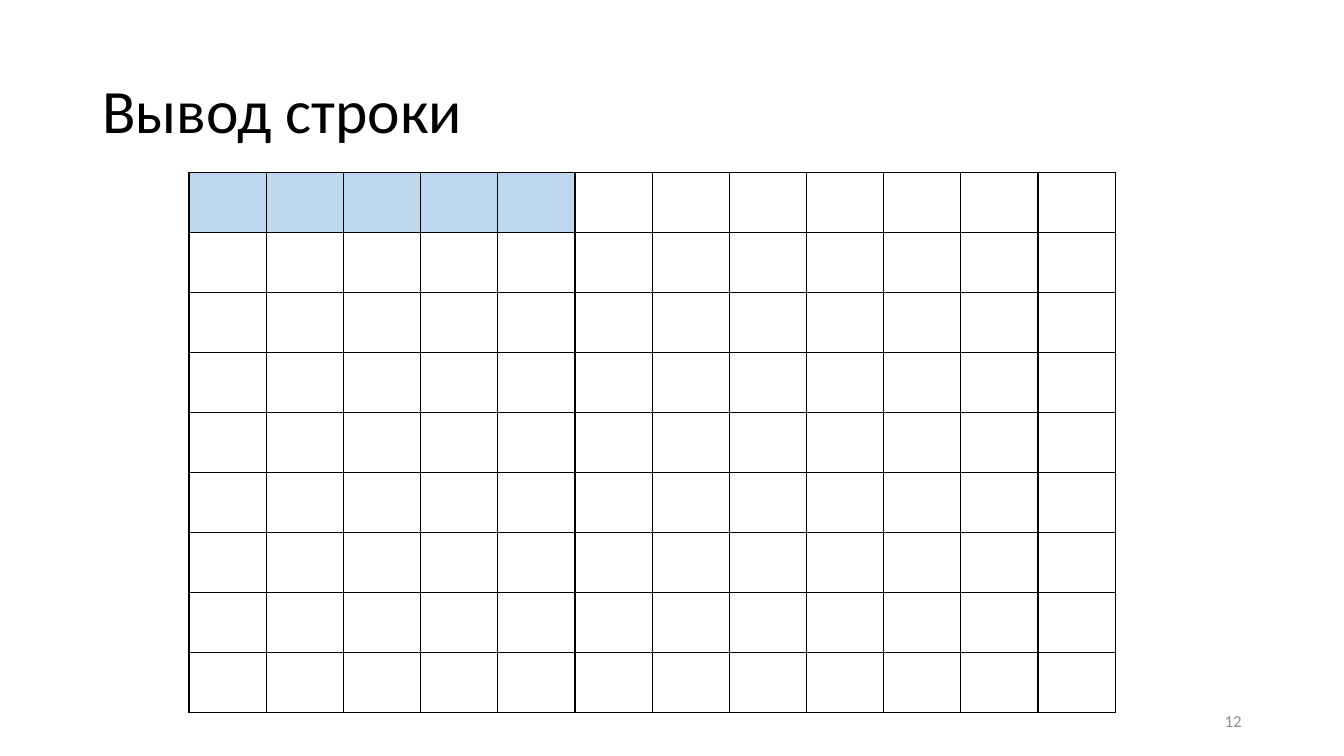
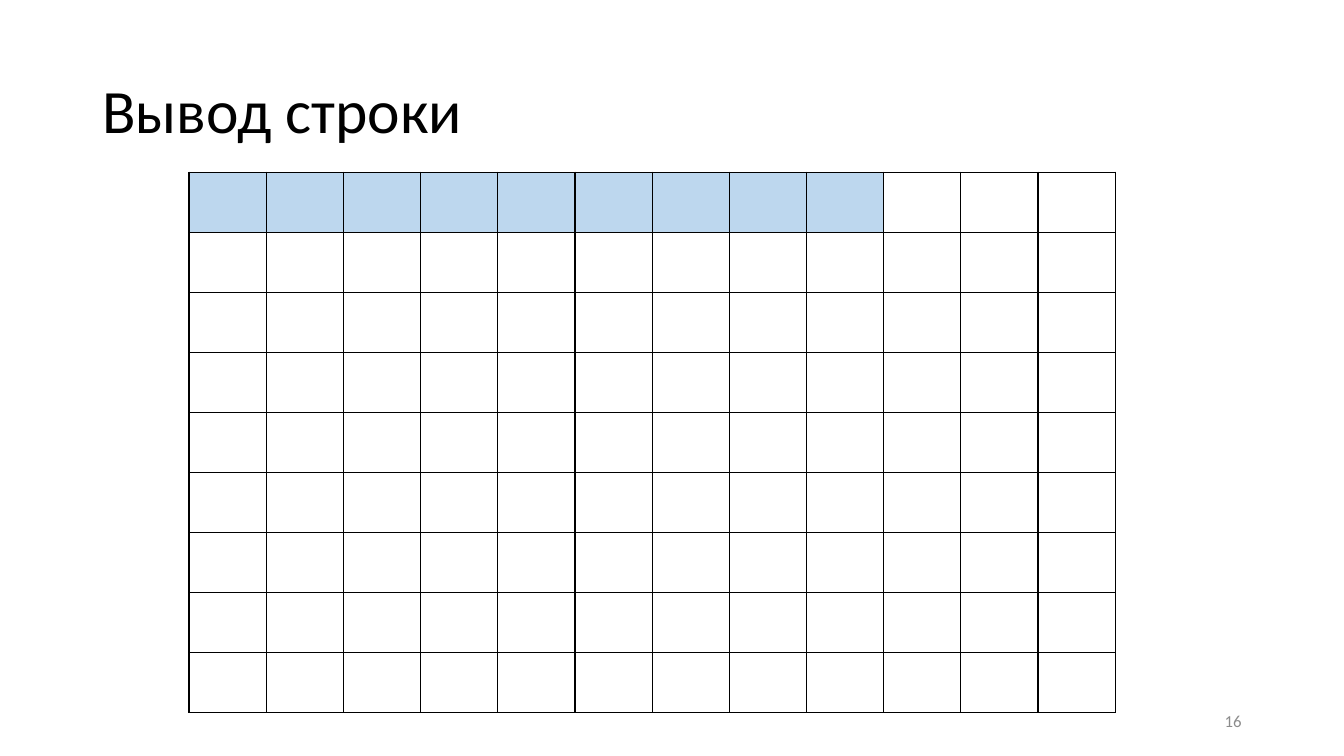
from lxml.etree import SubElement
from pptx import Presentation
from pptx.dml.color import RGBColor
from pptx.enum.text import MSO_ANCHOR, PP_ALIGN
from pptx.oxml.ns import qn
from pptx.util import Pt

SLIDES = [
    {"title": "Вывод строки", "filled": 5, "number": "12"},
    {"title": "Вывод строки", "filled": 9, "number": "16"},
]
COLORS = {"text": "000000", "border": "000000", "filled": "BDD7EE", "number": "8C8C8C"}
FONT = "Calibri"
ROWS, COLUMNS = 9, 12
CELL_WIDTH, CELL_HEIGHT = 55.14, 42.86
GRID_LEFT, GRID_TOP = 135, 123


def write(shape, text, size, color, alignment):
    frame = shape.text_frame
    frame.word_wrap = True
    frame.vertical_anchor = MSO_ANCHOR.MIDDLE
    paragraph = frame.paragraphs[0]
    paragraph.text = text
    paragraph.alignment = alignment
    paragraph.font.name = FONT
    paragraph.font.size = Pt(size)
    paragraph.font.color.rgb = RGBColor.from_string(COLORS[color])
    return paragraph


def add_title(slide, text):
    title = slide.shapes.title
    title.left, title.top, title.width, title.height = Pt(66), Pt(28.75), Pt(828), Pt(104.4)
    write(title, text, 44, "text", PP_ALIGN.LEFT).line_spacing = 0.9


def add_borders(cell):
    properties = cell._tc.get_or_add_tcPr()
    for side in ("a:lnL", "a:lnR", "a:lnT", "a:lnB"):
        line = SubElement(properties, qn(side), w=str(Pt(1)))
        fill = SubElement(line, qn("a:solidFill"))
        SubElement(fill, qn("a:srgbClr"), val=COLORS["border"])


def add_grid(slide, filled):
    table = slide.shapes.add_table(
        ROWS, COLUMNS, Pt(GRID_LEFT), Pt(GRID_TOP),
        Pt(COLUMNS * CELL_WIDTH), Pt(ROWS * CELL_HEIGHT),
    ).table
    table.first_row = table.horz_banding = False
    for column in table.columns:
        column.width = Pt(CELL_WIDTH)
    for row in table.rows:
        row.height = Pt(CELL_HEIGHT)
    for index, cell in enumerate(table.iter_cells()):
        add_borders(cell)
        if index < filled:
            cell.fill.solid()
            cell.fill.fore_color.rgb = RGBColor.from_string(COLORS["filled"])
        else:
            cell.fill.background()


def add_number(slide, number):
    box = slide.shapes.add_textbox(Pt(678), Pt(500.5), Pt(216), Pt(28.75))
    write(box, number, 12, "number", PP_ALIGN.RIGHT)


def main():
    presentation = Presentation()
    presentation.slide_width, presentation.slide_height = Pt(960), Pt(540)
    for content in SLIDES:
        slide = presentation.slides.add_slide(presentation.slide_layouts[5])
        add_title(slide, content["title"])
        add_grid(slide, content["filled"])
        add_number(slide, content["number"])
    presentation.save("out.pptx")


if __name__ == "__main__":
    main()
